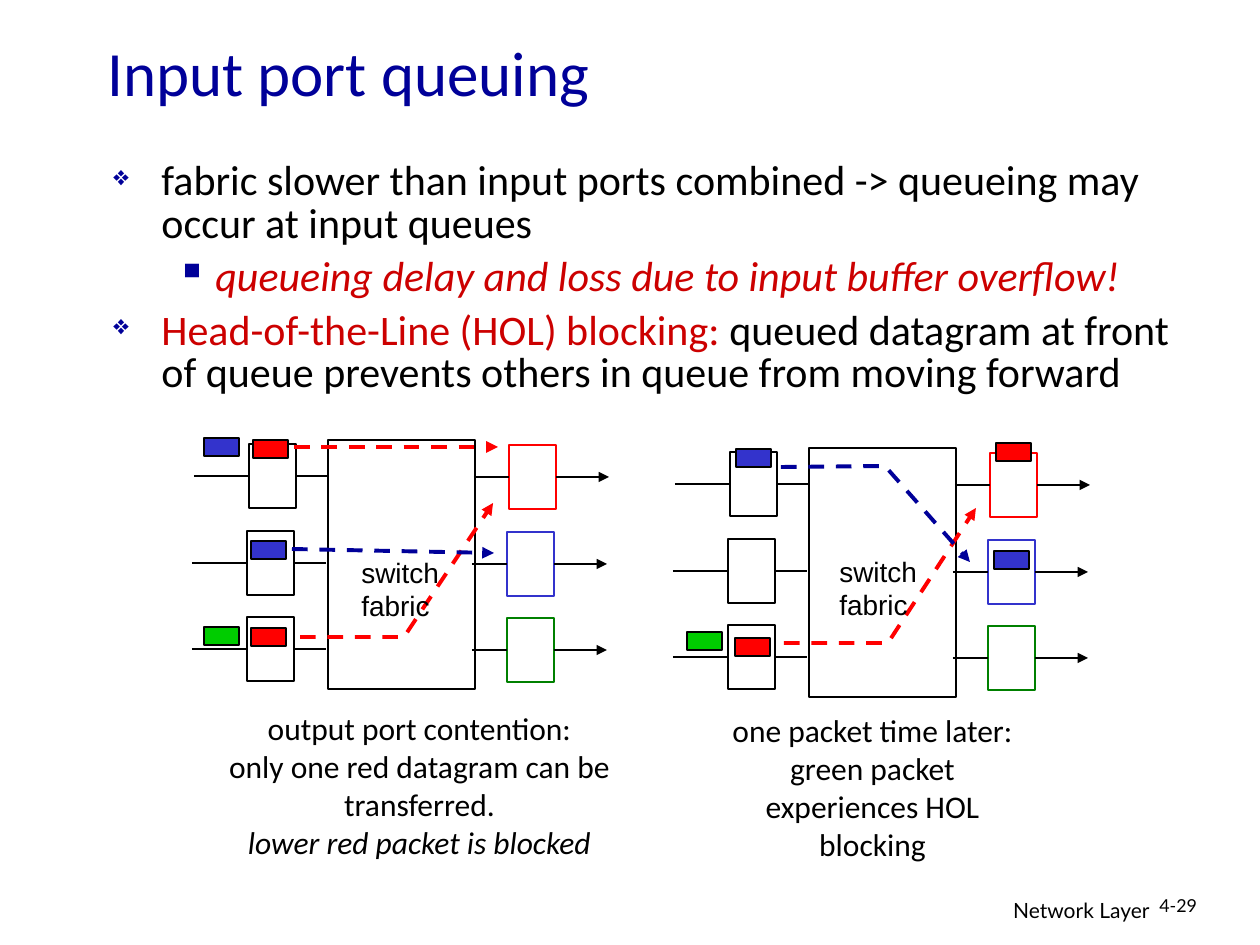
"""Build the slide on input port queuing and head-of-the-line blocking."""
from lxml.etree import SubElement
from pptx import Presentation
from pptx.dml.color import RGBColor
from pptx.enum.dml import MSO_LINE
from pptx.enum.shapes import MSO_CONNECTOR, MSO_SHAPE
from pptx.enum.text import MSO_ANCHOR, MSO_AUTO_SIZE, PP_ALIGN
from pptx.oxml.ns import qn
from pptx.util import Emu, Pt

PX = 914400 / 126
RECT, LINE = MSO_SHAPE.RECTANGLE, MSO_CONNECTOR.STRAIGHT
LEFT, MID, RIGHT = PP_ALIGN.LEFT, PP_ALIGN.CENTER, PP_ALIGN.RIGHT
BLACK, WHITE = RGBColor(0, 0, 0), RGBColor(255, 255, 255)
NAVY, BLUE = RGBColor(0, 0, 0x99), RGBColor(0x33, 0x33, 0xCC)
RED, WINE = RGBColor(255, 0, 0), RGBColor(0xCC, 0, 0)
GREEN, LIME = RGBColor(0, 0x80, 0), RGBColor(0, 0xCC, 0)


def say(area, paras, size, face, align=LEFT, wrap=True):
    box = slide.shapes.add_textbox(*[Emu(round(v * PX)) for v in area])
    frame = box.text_frame
    frame.word_wrap = wrap
    if not wrap:
        frame.auto_size = MSO_AUTO_SIZE.SHAPE_TO_FIT_TEXT
    for i, runs in enumerate(paras):
        para = frame.add_paragraph() if i else frame.paragraphs[0]
        para.alignment = align
        for text, color, slant in runs:
            if text == "\n":
                para.add_line_break()
                continue
            run = para.add_run()
            run.text = text
            run.font.color.rgb = color
            for key, val in dict(name=face, size=Pt(size), italic=slant).items():
                setattr(run.font, key, val)
    return frame


def stroke(shape, color, width, dash=None, arrow=False):
    shape.line.color.rgb = color
    shape.line.width = Pt(width)
    if dash:
        shape.line.dash_style = dash
    if arrow:
        SubElement(shape.get_or_add_ln(), qn("a:tailEnd"), type="triangle")
    SubElement(shape.element.spPr, qn("a:effectLst"))


prs = Presentation()
prs.slide_width, prs.slide_height = Emu(round(1260 * PX)), Emu(round(945 * PX))
slide = prs.slides.add_slide(prs.slide_layouts[6])
shapes = slide.shapes

say((762, 891, 400, 39), [[("Network Layer", BLACK, False)]], 12, "Lato", RIGHT)
page = say((1147, 891, 93, 38), [[("4-29", BLACK, False)]], 10.2, "Lato")
page.paragraphs[0].line_spacing = 0.9
title = say((95, 40, 1071, 63), [[("Input port queuing", NAVY, False)]], 36, "Calibri")
title.vertical_anchor = MSO_ANCHOR.MIDDLE

body = say((101, 155, 1116, 365), [
    [("fabric slower than input ports combined -> queueing may occur at input queues",
      BLACK, False)],
    [("queueing delay and loss due to input buffer overflow!", WINE, True)],
    [("Head-of-the-Line (HOL) blocking:", WINE, False),
     (" queued datagram at front of queue prevents others in queue from moving forward",
      BLACK, False)],
], 24, "Calibri")
MAIN, SUB = (0, 48, 48, "❖", 65), (1, 102, 39, "▪", 100)
for para, (level, margin, hang, mark, scale) in zip(body.paragraphs, (MAIN, SUB, MAIN)):
    for key, val in dict(level=level, line_spacing=0.85, space_before=Pt(6)).items():
        setattr(para, key, val)
    props = para._p.get_or_add_pPr()
    props.set("marL", str(round(margin * PX)))
    props.set("indent", str(round(-hang * PX)))
    tint = SubElement(props, qn("a:buClr"))
    SubElement(tint, qn("a:srgbClr"), val=str(NAVY))
    SubElement(props, qn("a:buSzPct"), val=str(scale * 1000))
    SubElement(props, qn("a:buChar"), char=mark)

ROWS = [(0, 0, RED), (-2, 87, BLUE), (-2, 173, GREEN)]
PANELS = [
    dict(
        at=(328, 440), label=(349, 549),
        packs=[(253, 440, RED), (251, 541, BLUE), (251, 628, RED),
               (204, 438, BLUE), (204, 627, LIME)],
        routes=[(RED, [(294, 447), (498, 447)]),
                (RED, [(300, 637), (404, 637), (493, 503)]),
                (NAVY, [(292, 549), (494, 553)])],
        note=(186, 703, 467, 164),
        words=[[("output port contention:", BLACK, False)],
               [("only one red datagram can be transferred.", BLACK, False),
                ("\n", BLACK, False), ("lower red packet is blocked", BLACK, True)]]),
    dict(
        at=(809, 448), label=(827, 548),
        packs=[(996, 443, RED), (736, 449, BLUE), (735, 638, RED),
               (687, 632, LIME), (994, 551, BLUE)],
        routes=[(RED, [(784, 643), (888, 643), (976, 508)]),
                (NAVY, [(781, 467), (885, 466), (970, 562)])],
        note=(719, 705, 307, 164),
        words=[[("one packet time later: green packet experiences HOL blocking",
                 BLACK, False)]]),
]

for panel in PANELS:
    x, y = panel["at"]
    specs = [(x, y, 147, 249, WHITE, BLACK, 0.75)]
    for dx, dy, color in ROWS:
        specs.append((x - 79 + dx, y + 4 + dy, 47, 64, WHITE, BLACK, 0.75))
        specs.append((x + 181 + dx, y + 5 + dy, 47, 64, WHITE, color, 1.5))
    specs += [(px, py, 35, 18, color, BLACK, 0.75) for px, py, color in panel["packs"]]
    boxes = []
    for *area, fill, edge, width in specs:
        box = shapes.add_shape(RECT, *[Emu(round(v * PX)) for v in area])
        box.fill.solid()
        box.fill.fore_color.rgb = fill
        stroke(box, edge, width)
        boxes.append(box)

    for (dx, dy, color), entry, leave in zip(ROWS, boxes[1:7:2], boxes[2:7:2]):
        for start, end, drop, source, target in (
                (-134, -79, 36, None, entry), (-32, 0, 36, entry, None),
                (146, 181, 37, None, leave), (228, 281, 37, leave, None)):
            ends = (x + start + dx, y + drop + dy, x + end + dx, y + drop + dy)
            link = shapes.add_connector(LINE, *[Emu(round(v * PX)) for v in ends])
            if source:
                link.begin_connect(source, 3)
            if target:
                link.end_connect(target, 1)
            stroke(link, BLACK, 1.5, arrow=source is leave)

    for color, points in panel["routes"]:
        if len(points) == 2:
            ends = points[0] + points[1]
            route = shapes.add_connector(LINE, *[Emu(round(v * PX)) for v in ends])
        else:
            pen = shapes.build_freeform(*points[0], scale=PX)
            pen.add_line_segments(points[1:], close=False)
            route = pen.convert_to_shape()
            route.fill.background()
        stroke(route, color, 2.25, MSO_LINE.DASH, True)

    say((*panel["label"], 105, 81),
        [[("switch", BLACK, False)], [("fabric", BLACK, False)]], 16, "Arial", wrap=False)
    say(panel["note"], panel["words"], 18, "Calibri", MID)

prs.save("out.pptx")
